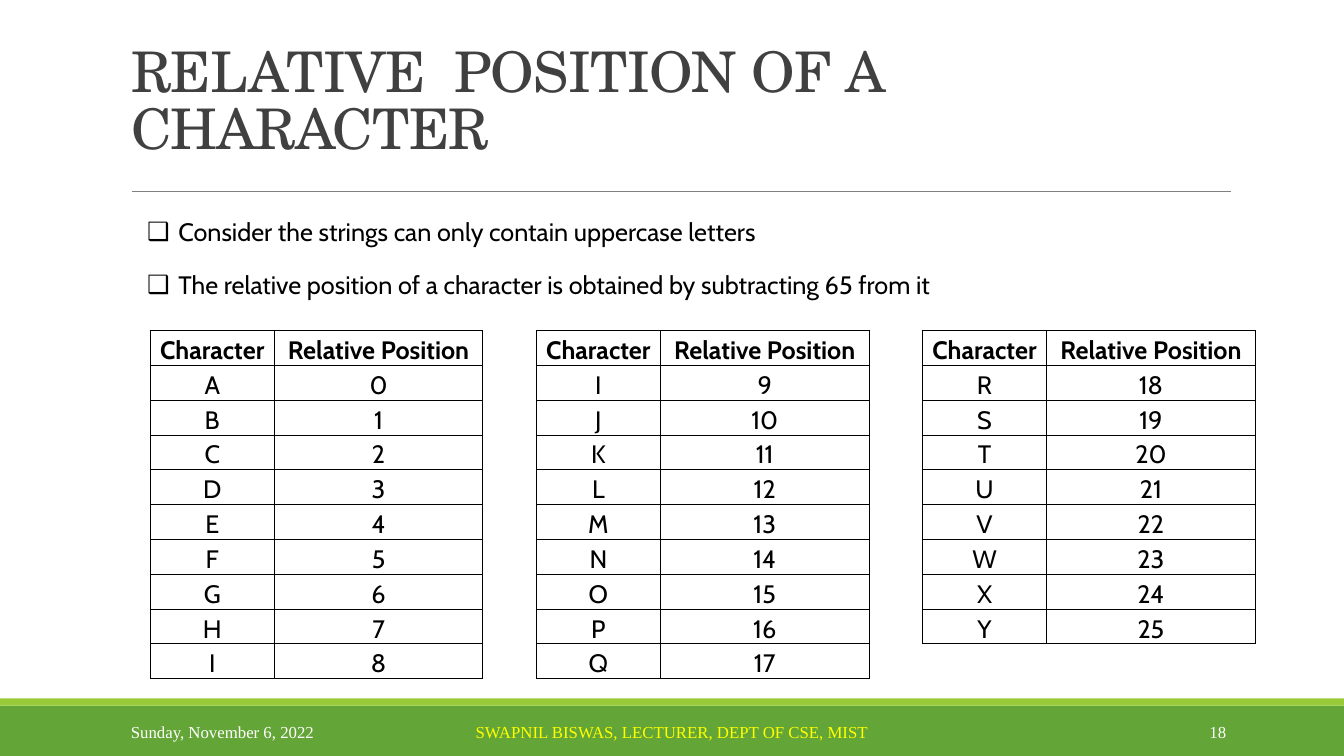
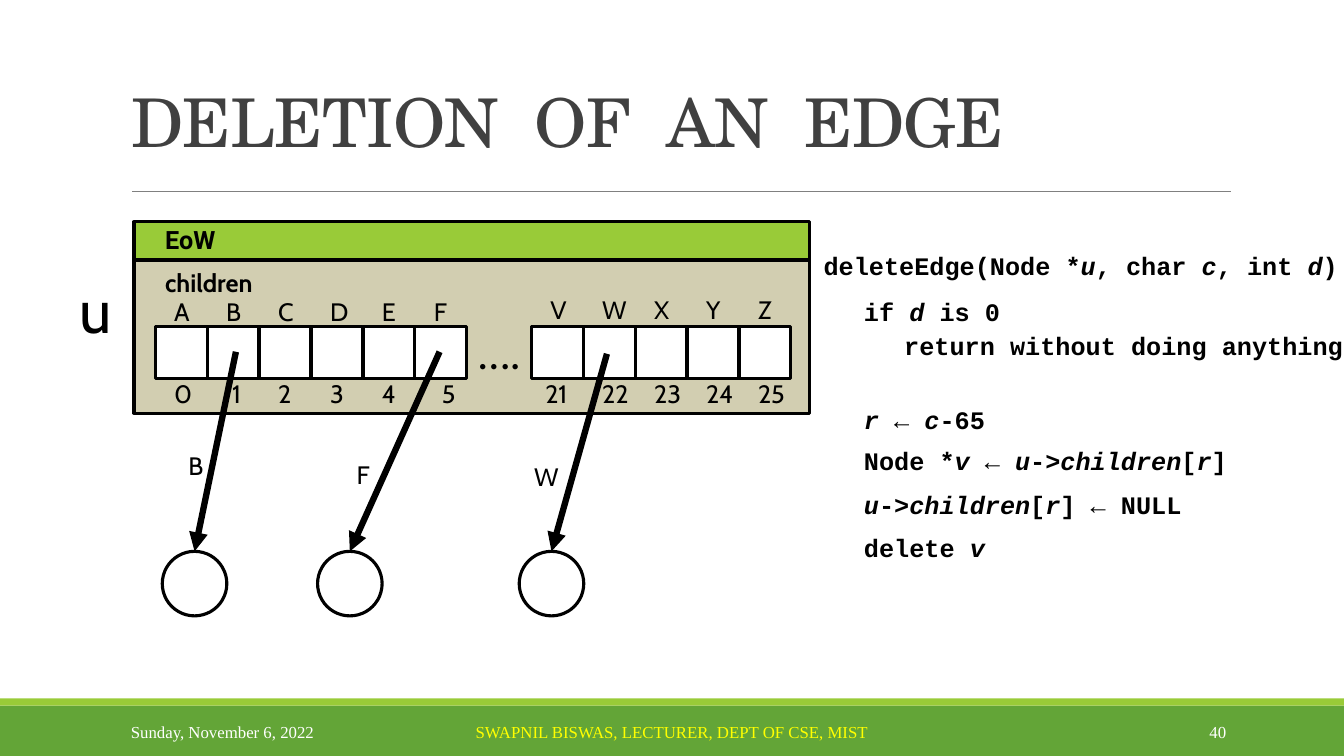
from dataclasses import dataclass

from lxml.etree import SubElement
from pptx import Presentation
from pptx.dml.color import RGBColor
from pptx.enum.shapes import MSO_CONNECTOR, MSO_SHAPE
from pptx.enum.text import MSO_ANCHOR as ANCHOR, MSO_AUTO_SIZE, PP_ALIGN as ALIGN
from pptx.oxml.ns import qn
from pptx.util import Inches, Pt

SLIDE_W, SLIDE_H = 13.33, 7.5


@dataclass(frozen=True)
class Theme:
    black: str = "000000"
    white: str = "FFFFFF"
    grey: str = "404040"
    rule: str = "808080"
    green: str = "63A537"
    lime: str = "99CB38"
    sand: str = "D2CEB1"
    yellow: str = "FFFF00"
    title: str = "TeX Gyre Schola"
    body: str = "Cabin"
    code: str = "Courier New"
    footer: str = "Times New Roman"
    text_size: int = 18
    footer_size: int = 12
    outline: float = 2.25


T = Theme()
BODY = dict(name=T.body, size=Pt(T.text_size), color=T.black)
BOLD = BODY | dict(bold=True)
CODE = BOLD | dict(name=T.code)
FOOTER = dict(name=T.footer, size=Pt(T.footer_size), color=T.white)

TABLES = [("ABCDEFGHI", 0), ("IJKLMNOPQ", 9), ("RSTUVWXY", 18)]
CODE_LINES = [  # left, top, text with italics between bars
    (8.07, 2.43, "deleteEdge(Node *|u|, char |c|, int |d|)"),
    (8.47, 2.89, "if |d| is 0"),
    (8.87, 3.23, "return without doing anything"),
    (8.47, 3.96, "|r |← |c|-65"),
    (8.47, 4.37, "Node *|v |← |u|->|children|[|r|]"),
    (8.47, 4.81, "|u|->|children|[|r|] ← NULL"),
    (8.47, 5.23, "delete |v"),
]
SLOT = 3.09 / 6
SLOT_GROUPS = [(1.54, 2.89, "ABCDEF", 0), (5.27, 2.87, "VWXYZ", 21)]
NUMBER_NUDGE = {1: 0.06, 5: 0.08, 21: -0.05}
EDGES = [  # letter, label position, arrow start, circle left
    ("B", (1.77, 4.42), (2.34, 3.49), 1.61),
    ("F", (3.44, 4.51), (4.36, 3.49), 3.15),
    ("W", (5.2, 4.53), (6.02, 3.51), 5.15),
]


def inches(*lengths):
    return [Inches(v) for v in lengths]


def apply(obj, **attrs):
    for key, value in attrs.items():
        setattr(obj, key, value)


def add_run(p, text, fmt):
    r = p.add_run()
    r.text = text
    for key, value in fmt.items():
        if key == "color":
            r.font.color.rgb = RGBColor.from_string(value)
        else:
            setattr(r.font, key, value)
    return r


def add_text(s, at, text, fmt, align=ALIGN.LEFT, anchor=ANCHOR.TOP):
    """Text box; every second part between bars is italic."""
    tf = s.shapes.add_textbox(*inches(*at)).text_frame
    apply(tf, word_wrap=True, vertical_anchor=anchor)
    if align == ALIGN.LEFT:
        tf.margin_right = 0
    p = tf.paragraphs[0]
    p.alignment = align
    for i, part in enumerate(text.split("|")):
        if part:
            add_run(p, part, fmt | dict(italic=bool(i % 2)))


def add_box(s, at, fill=None, line=None, kind=MSO_SHAPE.RECTANGLE):
    sp = s.shapes.add_shape(kind, *inches(*at))
    sp.shadow.inherit = False
    if fill:
        sp.fill.solid()
        sp.fill.fore_color.rgb = RGBColor.from_string(fill)
    else:
        sp.fill.background()
    if line:
        sp.line.color.rgb = RGBColor.from_string(line)
        sp.line.width = Pt(T.outline)
    else:
        sp.line.fill.background()
    return sp


def add_line(s, start, end, color, width):
    cxn = s.shapes.add_connector(MSO_CONNECTOR.STRAIGHT, *inches(*start, *end))
    cxn.line.color.rgb = RGBColor.from_string(color)
    cxn.line.width = Pt(width)
    SubElement(cxn.element.spPr, qn("a:effectLst"))
    return cxn


def add_master_bands(prs, s):
    """Draw the bands and the title rule on s, then move them to the master."""
    bands = [
        add_box(s, (0, 7, SLIDE_W, 0.5), T.green),
        add_box(s, (0, 6.93, SLIDE_W, 0.07), T.lime),
        add_line(s, (1.31, 1.9), (12.21, 1.9), T.rule, 0.5),
    ]
    for i, sp in enumerate(bands, start=2):
        prs.slide_master.shapes.element.insert(i, sp.element)


def place(sp, at):
    apply(sp, **dict(zip(("left", "top", "width", "height"), inches(*at))))


def add_slide(prs, layout, title, size, number):
    s = prs.slides.add_slide(prs.slide_layouts[layout])
    place(s.shapes.title, (1.2, 0.06, 11, 1.59))
    tf = s.shapes.title.text_frame
    apply(tf, vertical_anchor=ANCHOR.BOTTOM, auto_size=MSO_AUTO_SIZE.NONE)
    p = tf.paragraphs[0]
    apply(p, alignment=ALIGN.LEFT, line_spacing=0.85)
    r = add_run(p, title, dict(name=T.title, size=Pt(size), color=T.grey))
    r.font._element.set("spc", "-50")
    for left, width, text, color, align in [
        (1.2, 2.7, "Sunday, November 6, 2022", T.white, ALIGN.LEFT),
        (4.03, 5.27, "SWAPNIL BISWAS, LECTURER, DEPT OF CSE, MIST", T.yellow, ALIGN.CENTER),
        (10.83, 1.43, str(number), T.white, ALIGN.RIGHT),
    ]:
        add_text(s, (left, 7.06, width, 0.4), text, FOOTER | dict(color=color),
                 align, ANCHOR.MIDDLE)
    return s


def add_bullets(s, at, lines):
    body = s.placeholders[1]
    place(body, at)
    tf = body.text_frame
    tf.auto_size = MSO_AUTO_SIZE.NONE
    for i, line in enumerate(lines):
        p = tf.add_paragraph() if i else tf.paragraphs[0]
        apply(p, space_before=Pt(0), space_after=Pt(16), alignment=ALIGN.LEFT)
        pPr = p._p.get_or_add_pPr()
        pPr.set("marL", str(Inches(0.31)))
        pPr.set("indent", str(-Inches(0.31)))
        SubElement(pPr, qn("a:buChar"), char="❑")
        add_run(p, line, BODY)


def add_borders(cell):
    tcPr = cell._tc.get_or_add_tcPr()
    for side in "LRTB":
        ln = SubElement(tcPr, qn(f"a:ln{side}"), w=str(Pt(0.75)))
        fill = SubElement(ln, qn("a:solidFill"))
        SubElement(fill, qn("a:srgbClr"), val=T.black)


def add_position_table(s, left, top, letters, first):
    rows = [("Character", "Relative Position")]
    rows += [(c, str(i)) for i, c in enumerate(letters, first)]
    widths = (1.23, 2.07)
    table = s.shapes.add_table(
        len(rows), 2, *inches(left, top, sum(widths), 0.34 * len(rows))).table
    apply(table, first_row=False, horz_banding=False)
    for col, width in zip(table.columns, widths):
        col.width = Inches(width)
    for y, row in enumerate(rows):
        for x, text in enumerate(row):
            cell = table.cell(y, x)
            apply(cell, margin_left=Inches(0.05), margin_right=Inches(0.05),
                  margin_top=0, margin_bottom=0)
            add_borders(cell)
            cell.fill.background()
            p = cell.text_frame.paragraphs[0]
            apply(p, alignment=ALIGN.CENTER, line_spacing=1.15)
            add_run(p, text, BODY if y else BOLD)


def add_slots(s, left, letter_top, letters, first):
    """Row of array slots with letters above and numbers below."""
    for i, letter in enumerate(letters):
        x, number = left + i * SLOT, first + i
        add_box(s, (x, 3.24, SLOT, SLOT), T.white, T.black)
        add_text(s, (x + 0.09, letter_top, 0.5, 0.4), letter, BODY)
        nudge = NUMBER_NUDGE.get(number, 0)
        add_text(s, (x + 0.09 + nudge, 3.7, 0.5, 0.4), str(number), BODY)


def add_edge(s, letter, label_at, start, circle_left):
    """Arrow from a slot to the top of its child node."""
    size, top = 0.64, 5.47
    circle = add_box(s, (circle_left, top, size, size), None, T.black, MSO_SHAPE.OVAL)
    arrow = add_line(s, start, (circle_left + size / 2, top), T.black, 4.5)
    arrow.end_connect(circle, 0)
    SubElement(arrow.line._get_or_add_ln(), qn("a:tailEnd"), type="triangle")
    add_text(s, (*label_at, 0.5, 0.4), letter, BODY)


def add_node(s):
    add_box(s, (1.33, 2.21, 6.7, 1.89), T.sand, T.black)
    add_box(s, (1.33, 2.2, 6.7, 0.38), T.lime, T.black)
    add_text(s, (1.54, 2.18, 1, 0.4), "EoW", BOLD | dict(name="Roboto"))
    add_text(s, (1.54, 2.6, 1.5, 0.4), "children", BOLD)
    add_text(s, (0.69, 2.65, 0.6, 0.84), "u", BODY | dict(size=Pt(44)))
    for group in SLOT_GROUPS:
        add_slots(s, *group)
    add_text(s, (4.65, 3.17, 0.63, 0.64), "….", BODY | dict(name="Calibri", size=Pt(32)))


def main():
    prs = Presentation()
    apply(prs, slide_width=Inches(SLIDE_W), slide_height=Inches(SLIDE_H))

    s = add_slide(prs, 1, "RELATIVE  POSITION OF A CHARACTER", 40, 18)
    add_master_bands(prs, s)
    add_bullets(s, (1.36, 2.1, 10, 1), [
        "Consider the strings can only contain uppercase letters",
        "The relative position of a character is obtained by subtracting 65 from it",
    ])
    for i, (letters, first) in enumerate(TABLES):
        add_position_table(s, 1.49 + i * 3.83, 3.28, letters, first)

    s = add_slide(prs, 5, "DELETION  OF  AN  EDGE", 48, 40)
    add_node(s)
    for edge in EDGES:
        add_edge(s, *edge)
    for left, top, text in CODE_LINES:
        add_text(s, (left, top, SLIDE_W - left, 0.4), text, CODE)

    prs.save("out.pptx")


if __name__ == "__main__":
    main()
